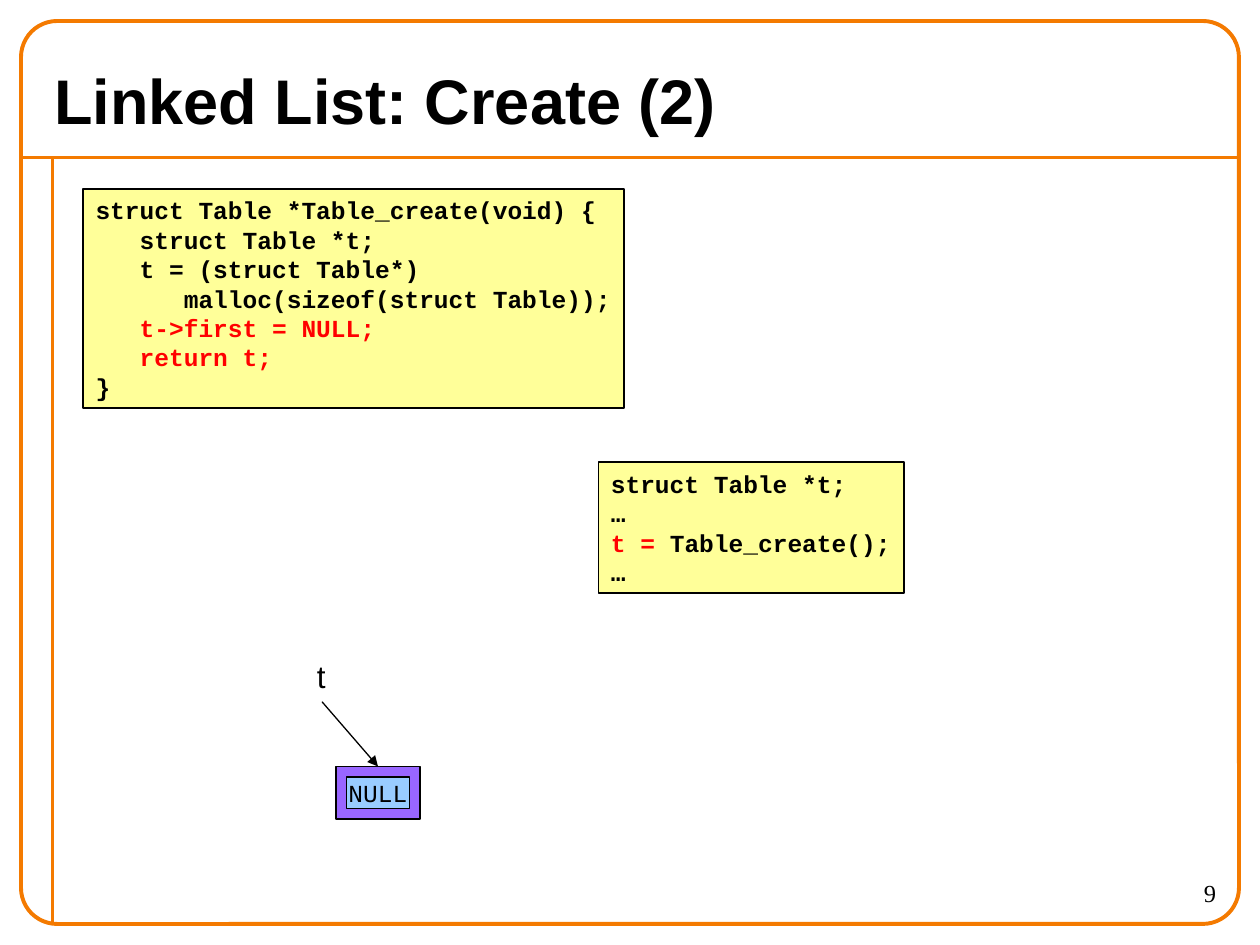
from dataclasses import dataclass

from lxml.etree import SubElement
from pptx import Presentation
from pptx.dml.color import RGBColor
from pptx.enum.shapes import MSO_CONNECTOR, MSO_SHAPE
from pptx.enum.text import MSO_ANCHOR, PP_ALIGN
from pptx.oxml.ns import qn
from pptx.util import Pt


@dataclass(frozen=True)
class Theme:
    frame: str = "F47A00"
    ink: str = "000000"
    highlight: str = "FF0000"
    code_fill: str = "FFFF99"
    struct_fill: str = "9966FF"
    field_fill: str = "99CCFF"
    heading: str = "Arial"
    code: str = "Courier New"
    number: str = "Times New Roman"
    title_size: int = 36
    label_size: int = 18
    small_size: int = 14
    frame_line: float = 2.25
    box_line: float = 1
    arrow_line: float = 0.75


THEME = Theme()
BOTTOM, TOP = 2, 0

CREATE_CODE = [
    [("struct Table *Table_create(void) {", THEME.ink)],
    [("   struct Table *t;", THEME.ink)],
    [("   t = (struct Table*)", THEME.ink)],
    [("      malloc(sizeof(struct Table));", THEME.ink)],
    [("   t->first = NULL;", THEME.highlight)],
    [("   return t;", THEME.highlight)],
    [("}", THEME.ink)],
]
CALLER_CODE = [
    [("struct Table *t;", THEME.ink)],
    [("…", THEME.ink)],
    [("t =", THEME.highlight), (" Table_create();", THEME.ink)],
    [("…", THEME.ink)],
]


def points(*lengths):
    return [Pt(length) for length in lengths]


def write(shape, lines, font, align=PP_ALIGN.LEFT, anchor=MSO_ANCHOR.MIDDLE, wrap=False):
    """Fill a shape with lines, each a list of (text, colour) runs."""
    frame = shape.text_frame
    frame.word_wrap = wrap
    frame.vertical_anchor = anchor
    for index, line in enumerate(lines):
        paragraph = frame.paragraphs[0] if index == 0 else frame.add_paragraph()
        paragraph.alignment = align
        for text, colour in line:
            run = paragraph.add_run()
            run.text = text
            for name, value in font.items():
                setattr(run.font, name, value)
            run.font.color.rgb = RGBColor.from_string(colour)


def add_text(slide, box, text, font, **layout):
    label = slide.shapes.add_textbox(*points(*box))
    write(label, [[(text, THEME.ink)]], font, **layout)
    return label


def add_box(slide, box, fill):
    rectangle = slide.shapes.add_shape(MSO_SHAPE.RECTANGLE, *points(*box))
    rectangle.shadow.inherit = False
    rectangle.fill.solid()
    rectangle.fill.fore_color.rgb = RGBColor.from_string(fill)
    rectangle.line.color.rgb = RGBColor.from_string(THEME.ink)
    rectangle.line.width = Pt(THEME.box_line)
    return rectangle


def add_line(slide, ends, colour, width):
    line = slide.shapes.add_connector(MSO_CONNECTOR.STRAIGHT, *points(*ends))
    line.line.color.rgb = RGBColor.from_string(colour)
    line.line.width = Pt(width)
    SubElement(line._element.spPr, qn("a:effectLst"))
    return line


def add_frame(slide, box):
    left, top, width, height = box
    right, bottom = left + width, top + height
    rule_top, margin = top + 78, left + 18
    for ends in ((left, rule_top, right, rule_top), (margin, rule_top, margin, bottom)):
        add_line(slide, ends, THEME.frame, THEME.frame_line)
    border = slide.shapes.add_shape(MSO_SHAPE.ROUNDED_RECTANGLE, *points(*box))
    border.adjustments[0] = 0.04
    border.shadow.inherit = False
    border.fill.background()
    border.line.color.rgb = RGBColor.from_string(THEME.frame)
    border.line.width = Pt(THEME.frame_line)


def add_headings(slide, box, title, number):
    """Place the title and the slide number inside the frame box."""
    left, top, width, height = box
    add_text(slide, (left + 12, top + 18, width - 24, 54), title,
             {"name": THEME.heading, "size": Pt(THEME.title_size), "bold": True}, wrap=True)
    add_text(slide, (left + width - 78, top + height - 30, 72, 30), number,
             {"name": THEME.number, "size": Pt(THEME.small_size)},
             align=PP_ALIGN.RIGHT, anchor=MSO_ANCHOR.TOP, wrap=True)


def add_code(slide, box, lines):
    write(add_box(slide, box, THEME.code_fill), lines,
          {"name": THEME.code, "size": Pt(THEME.small_size), "bold": True})


def add_pointer_diagram(slide, box):
    """Draw t pointing to a table struct whose field is NULL."""
    left, top, width, height = box
    pointer = add_text(slide, (left, top, 20, 29), "t",
                       {"name": THEME.heading, "size": Pt(THEME.label_size)},
                       anchor=MSO_ANCHOR.TOP)
    struct_width, struct_height, inset = 48, 30, 6
    struct_left, struct_top = left + width - struct_width, top + height - struct_height
    table = add_box(slide, (struct_left, struct_top, struct_width, struct_height),
                    THEME.struct_fill)
    first = add_box(slide, (struct_left + inset, struct_top + inset,
                            struct_width - 2 * inset, struct_height - 2 * inset),
                    THEME.field_fill)
    write(first, [[("NULL", THEME.ink)]],
          {"name": THEME.code, "size": Pt(THEME.small_size)}, align=PP_ALIGN.CENTER)

    arrow = add_line(slide, (left + 10, top + 29, struct_left + struct_width / 2, struct_top),
                     THEME.ink, THEME.arrow_line)
    arrow.begin_connect(pointer, BOTTOM)
    arrow.end_connect(table, TOP)
    SubElement(arrow.line._get_or_add_ln(), qn("a:tailEnd"), type="triangle")


def main():
    deck = Presentation()
    deck.slide_width, deck.slide_height = points(720, 540)
    slide = deck.slides.add_slide(deck.slide_layouts[6])
    frame = (12, 12, 696, 516)
    add_frame(slide, frame)
    add_headings(slide, frame, "Linked List: Create (2)", "9")
    add_code(slide, (47.5, 108, 309, 125), CREATE_CODE)
    add_code(slide, (342, 264, 174.5, 75), CALLER_CODE)
    add_pointer_diagram(slide, (174, 372, 66, 96))
    deck.save("out.pptx")


if __name__ == "__main__":
    main()
